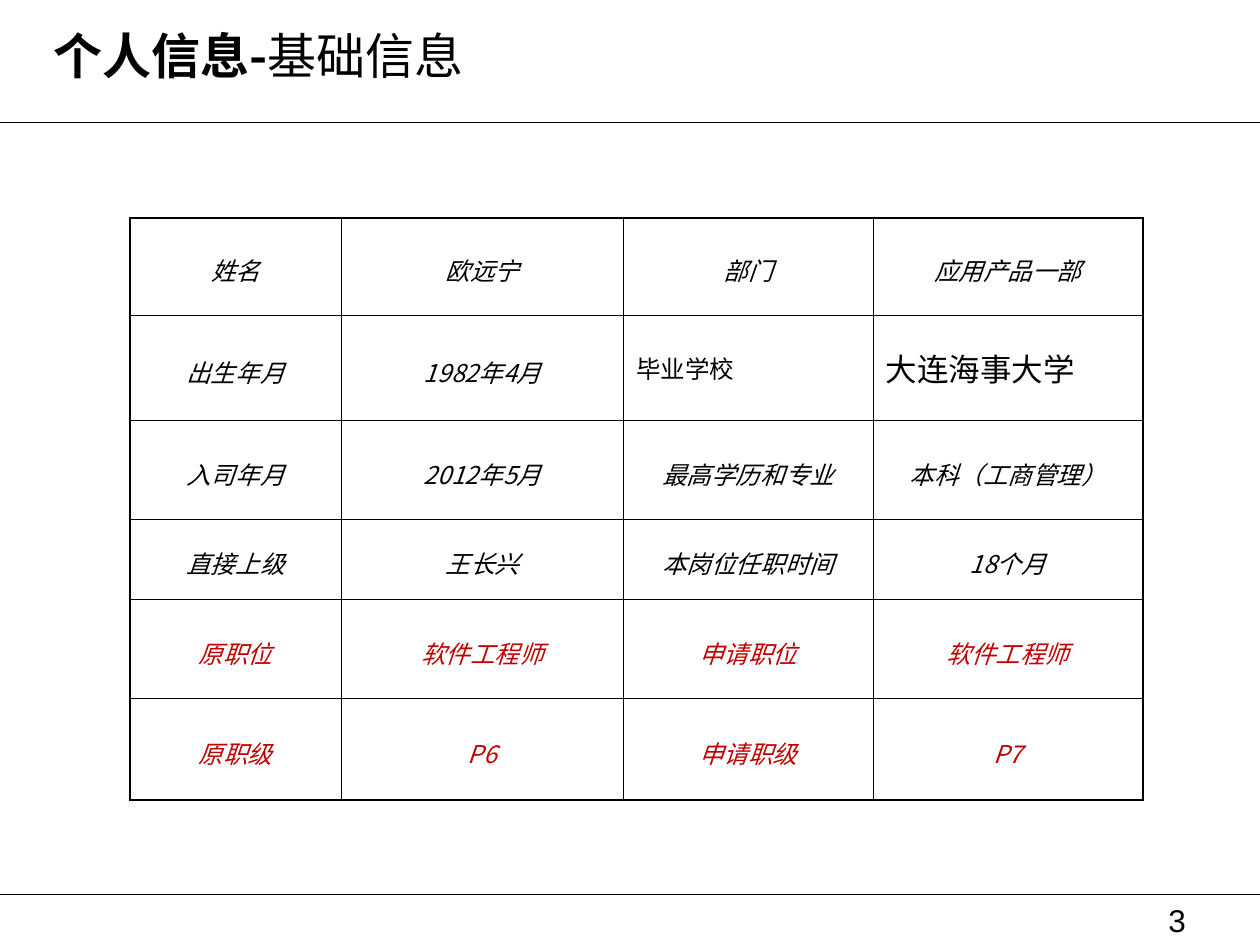
from lxml import etree
from pptx import Presentation, util as u
from pptx.dml.color import RGBColor
from pptx.enum import shapes, text
from pptx.oxml.ns import qn

SANS = "Noto Sans CJK SC"
BLACK, RED = "000000", "C00000"
OUTER, INNER = 1.08, 0.45


def style(paragraph, size, color=BLACK, face=SANS, italic=False):
    """Set the font of a whole paragraph, East Asian face included."""
    font = paragraph.font
    font.size, font.name, font.italic = u.Pt(size), face, italic
    font.color.rgb = RGBColor.from_string(color)
    properties = paragraph._p.get_or_add_pPr().get_or_add_defRPr()
    etree.SubElement(properties, qn("a:ea"), typeface=face)


def border(cell, widths):
    """Draw black left, right, top and bottom borders, widths in points."""
    for index, (side, width) in enumerate(zip("LRTB", widths)):
        line = etree.Element(qn(f"a:ln{side}"), w=str(u.Pt(width)))
        fill = etree.SubElement(line, qn("a:solidFill"))
        etree.SubElement(fill, qn("a:srgbClr"), val=BLACK)
        cell._tc.get_or_add_tcPr().insert(index, line)


prs = Presentation()
prs.slide_width, prs.slide_height = u.Inches(10), u.Inches(7.5)
slide = prs.slides.add_slide(prs.slide_layouts[6])

# Header and footer rules
for y in (0.97, 7.1):
    rule = slide.shapes.add_connector(
        shapes.MSO_CONNECTOR.STRAIGHT, 0, u.Inches(y), u.Inches(10), u.Inches(y))
    rule.line.width = u.Pt(0.26)
    rule.line.color.rgb = RGBColor.from_string(BLACK)
    etree.SubElement(rule._element.spPr, qn("a:effectLst"))

# Title
title = slide.shapes.add_textbox(
    u.Inches(0.33), u.Inches(0.2), u.Inches(9), u.Inches(0.47)).text_frame
title.word_wrap = True
title.vertical_anchor = text.MSO_ANCHOR.MIDDLE
heading = title.paragraphs[0]
style(heading, 28)
for words, bold in (("个人信息-", True), ("基础信息", False)):
    run = heading.add_run()
    run.text, run.font.bold = words, bold

# Page number
number = slide.shapes.add_textbox(
    u.Inches(8.93), u.Inches(7.1), u.Inches(0.58), u.Inches(0.34)).text_frame
number.word_wrap = True
page = number.paragraphs[0]
page.text, page.alignment = "3", text.PP_ALIGN.RIGHT
style(page, 18, face="Arial")

# Personal details
details = [
    ["姓名", "欧远宁", "部门", "应用产品一部"],
    ["出生年月", "1982年4月", "毕业学校", "大连海事大学"],
    ["入司年月", "2012年5月", "最高学历和专业", "本科（工商管理）"],
    ["直接上级", "王长兴", "本岗位任职时间", "18个月"],
    ["原职位", "软件工程师", "申请职位", "软件工程师"],
    ["原职级", "P6", "申请职级", "P7"],
]
plain_sizes = {"毕业学校": 14, "大连海事大学": 18}
column_widths = [1.68, 2.24, 1.98, 2.14]
row_heights = [0.77, 0.84, 0.78, 0.64, 0.78, 0.81]
last_row, last_column = len(row_heights) - 1, len(column_widths) - 1

table = slide.shapes.add_table(
    len(row_heights), len(column_widths), u.Inches(1.03), u.Inches(1.73),
    u.Inches(8.03), u.Inches(4.62)).table
table.first_row = table.horz_banding = False
for column, width in zip(table.columns, column_widths):
    column.width = u.Inches(width)
for row, height in zip(table.rows, row_heights):
    row.height = u.Inches(height)

for r, entries in enumerate(details):
    for c, entry in enumerate(entries):
        cell = table.cell(r, c)
        cell.fill.background()
        cell.vertical_anchor = text.MSO_ANCHOR.MIDDLE
        on_edge = (c == 0, c == last_column, r == 0, r == last_row)
        border(cell, [OUTER if edge else INNER for edge in on_edge])
        paragraph = cell.text_frame.paragraphs[0]
        paragraph.text = entry
        if entry in plain_sizes:
            style(paragraph, plain_sizes[entry])
            continue
        paragraph.alignment = text.PP_ALIGN.CENTER
        paragraph.line_spacing = 1.2
        paragraph.space_before = u.Pt(1.8)
        style(paragraph, 14, RED if r >= 4 else BLACK, italic=True)

prs.save("out.pptx")
